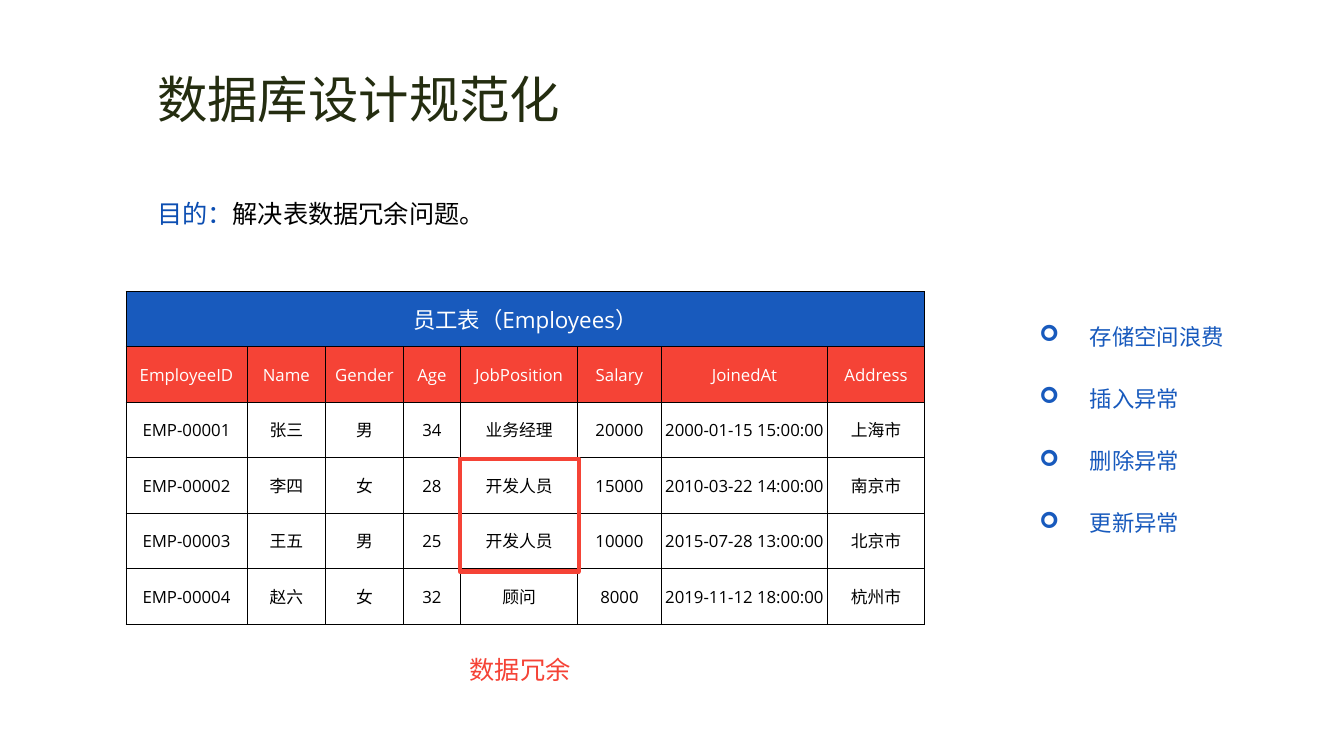
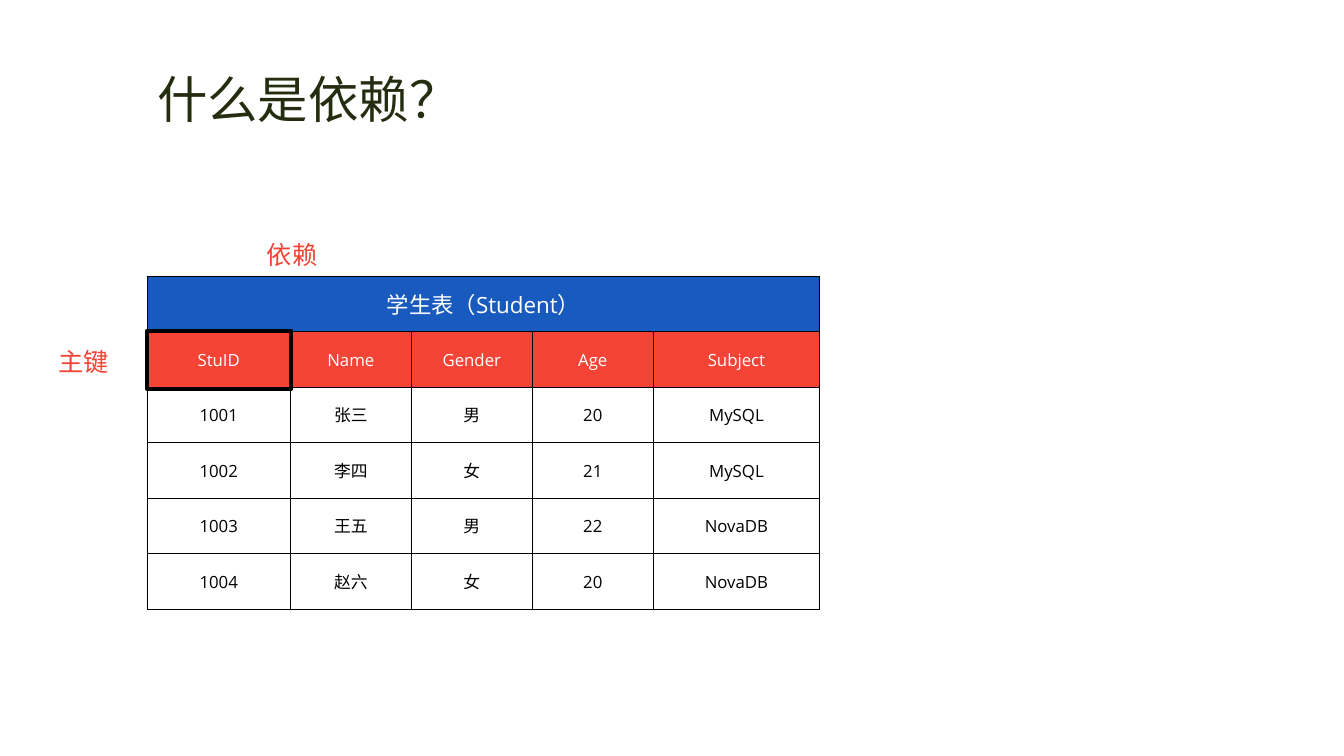
"""Build two slides on database normalisation and dependency."""
from pptx import Presentation
from pptx.dml.color import RGBColor
from pptx.enum.shapes import MSO_SHAPE
from pptx.enum.text import MSO_ANCHOR, PP_ALIGN
from pptx.oxml.ns import qn
from pptx.util import Inches, Pt
from lxml.etree import SubElement

FONT = "Open Sans"
BLACK = RGBColor(0x00, 0x00, 0x00)
WHITE = RGBColor(0xFF, 0xFF, 0xFF)
OLIVE = RGBColor(0x24, 0x2D, 0x10)
NAVY = RGBColor(0x0C, 0x4E, 0xB2)
BLUE = RGBColor(0x18, 0x5A, 0xBD)
RED = RGBColor(0xF5, 0x43, 0x36)
ROW = 0.55

STAFF = {
    "name": "员工表（Employees）",
    "at": (1.25, 2.89),
    "cols": (1.2, 0.78, 0.77, 0.57, 1.16, 0.83, 1.65, 0.96),
    "rows": [
        ("EmployeeID", "Name", "Gender", "Age", "JobPosition", "Salary", "JoinedAt", "Address"),
        ("EMP-00001", "张三", "男", "34", "业务经理", "20000", "2000-01-15 15:00:00", "上海市"),
        ("EMP-00002", "李四", "女", "28", "开发人员", "15000", "2010-03-22 14:00:00", "南京市"),
        ("EMP-00003", "王五", "男", "25", "开发人员", "10000", "2015-07-28 13:00:00", "北京市"),
        ("EMP-00004", "赵六", "女", "32", "顾问", "8000", "2019-11-12 18:00:00", "杭州市"),
    ],
}
PUPILS = {
    "name": "学生表（Student）",
    "at": (1.46, 2.74),
    "cols": (1.42, 1.2, 1.2, 1.2, 1.65),
    "rows": [
        ("StuID", "Name", "Gender", "Age", "Subject"),
        ("1001", "张三", "男", "20", "MySQL"),
        ("1002", "李四", "女", "21", "MySQL"),
        ("1003", "王五", "男", "22", "NovaDB"),
        ("1004", "赵六", "女", "20", "NovaDB"),
    ],
}
GOAL = [("目的：", NAVY), ("解决表数据冗余问题。", BLACK)]
FLAWS = ["存储空间浪费", "插入异常", "删除异常", "更新异常"]
SLIDES = [
    {
        "title": "数据库设计规范化",
        "table": STAFF,
        "frame": ((4.56, 4.55, 1.18, 1.12), RED),
        "notes": [("数据冗余", (4.56, 6.29, 1.29, 0.51))],
        "goal": GOAL,
        "flaws": FLAWS,
    },
    {
        "title": "什么是依赖？",
        "table": PUPILS,
        "frame": ((1.46, 3.28, 1.43, 0.58), BLACK),
        "notes": [("主键", (0.48, 3.24, 0.8, 0.51)), ("依赖", (2.55, 2.17, 0.8, 0.51))],
    },
]


def add_run(para, text, size, color):
    run = para.add_run()
    run.text = text
    font = run.font
    font.name, font.size = FONT, Pt(size)
    font.color.rgb = color
    SubElement(font._element, qn("a:ea"), typeface=FONT)


def add_text(slide, box, paras, size, space=1, wrap=True, mark=None):
    frame = slide.shapes.add_textbox(*map(Inches, box)).text_frame
    frame.word_wrap = wrap
    for i, runs in enumerate(paras):
        para = frame.add_paragraph() if i else frame.paragraphs[0]
        if mark:
            props = para._p.get_or_add_pPr()
            props.set("marL", str(Inches(0.5)))
            props.set("indent", str(-Inches(0.5)))
            SubElement(props, qn("a:buFont"), typeface="Wingdings")
            SubElement(props, qn("a:buChar"), char=mark)
            if i:
                para.space_before = Pt(6)
        para.line_spacing = space
        for text, color in runs:
            add_run(para, text, size, color)


def set_edges(cell):
    props = cell._tc.get_or_add_tcPr()
    for i, side in enumerate(("lnL", "lnR", "lnT", "lnB")):
        line = props.makeelement(qn("a:" + side), {"w": str(Pt(0.5))})
        fill = SubElement(line, qn("a:solidFill"))
        SubElement(fill, qn("a:srgbClr"), val=str(BLACK))
        props.insert(i, line)


def set_cell(cell, text, size, color, fill):
    cell.margin_left = cell.margin_top = cell.margin_right = Inches(0.01)
    cell.margin_bottom = 0
    cell.vertical_anchor = MSO_ANCHOR.MIDDLE
    if fill is None:
        cell.fill.background()
    else:
        cell.fill.solid()
        cell.fill.fore_color.rgb = fill
    set_edges(cell)
    if text:
        para = cell.text_frame.paragraphs[0]
        para.alignment = PP_ALIGN.CENTER
        add_run(para, text, size, color)


def add_grid(slide, data):
    cols = data["cols"]
    head = (data["name"],) + ("",) * (len(cols) - 1)
    rows = [head] + data["rows"]
    size = sum(cols), ROW * len(rows)
    shape = slide.shapes.add_table(len(rows), len(cols), *map(Inches, data["at"] + size))
    grid = shape.table
    grid.first_row = grid.horz_banding = False
    for col, width in zip(grid.columns, cols):
        col.width = Inches(width)
    looks = [(16, WHITE, BLUE), (12, WHITE, RED)]
    for r, row in enumerate(rows):
        grid.rows[r].height = Inches(ROW)
        look = looks[r] if r < len(looks) else (12, BLACK, None)
        for c, text in enumerate(row):
            set_cell(grid.cell(r, c), text, *look)
    grid.cell(0, 0).merge(grid.cell(0, len(cols) - 1))


def add_frame(slide, box, color):
    shape = slide.shapes.add_shape(MSO_SHAPE.RECTANGLE, *map(Inches, box))
    shape.shadow.inherit = False
    shape.fill.background()
    shape.line.color.rgb = color
    shape.line.width = Pt(3)


def main():
    deck = Presentation()
    deck.slide_width, deck.slide_height = Inches(13.33), Inches(7.5)
    for page in SLIDES:
        slide = deck.slides.add_slide(deck.slide_layouts[6])
        add_text(slide, (1.46, 0.63, 4.24, 0.71), [[(page["title"], OLIVE)]], 36, wrap=False)
        if "goal" in page:
            add_text(slide, (1.46, 1.62, 10.48, 0.62), [page["goal"]], 18, space=2)
        if "flaws" in page:
            items = [[(text, BLUE)] for text in page["flaws"]]
            add_text(slide, (10.21, 2.89, 2.49, 2.43), items, 16, space=2, mark="➢")
        add_grid(slide, page["table"])
        add_frame(slide, *page["frame"])
        for text, box in page["notes"]:
            add_text(slide, box, [[(text, RED)]], 18, space=1.5)
    deck.save("out.pptx")


if __name__ == "__main__":
    main()
